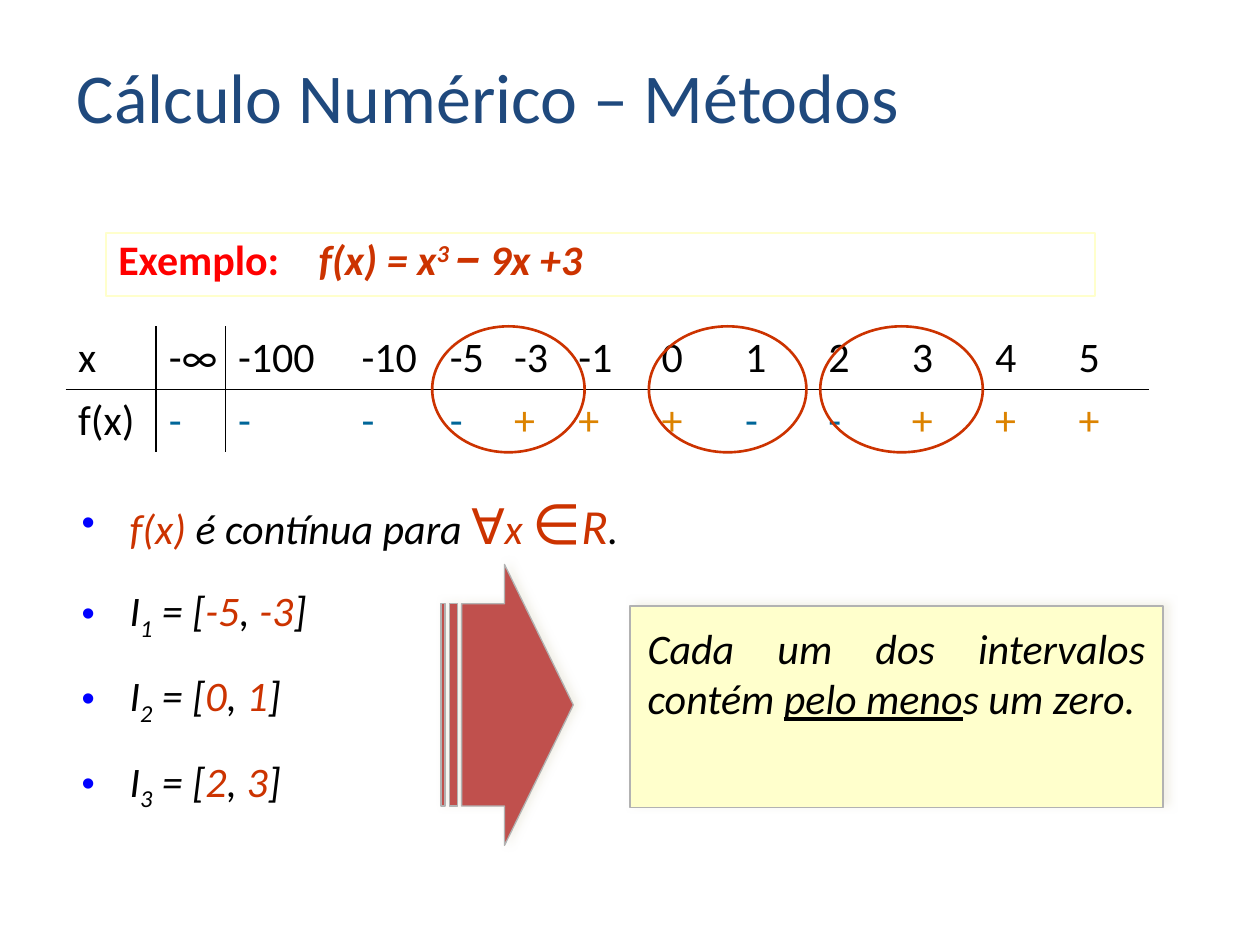
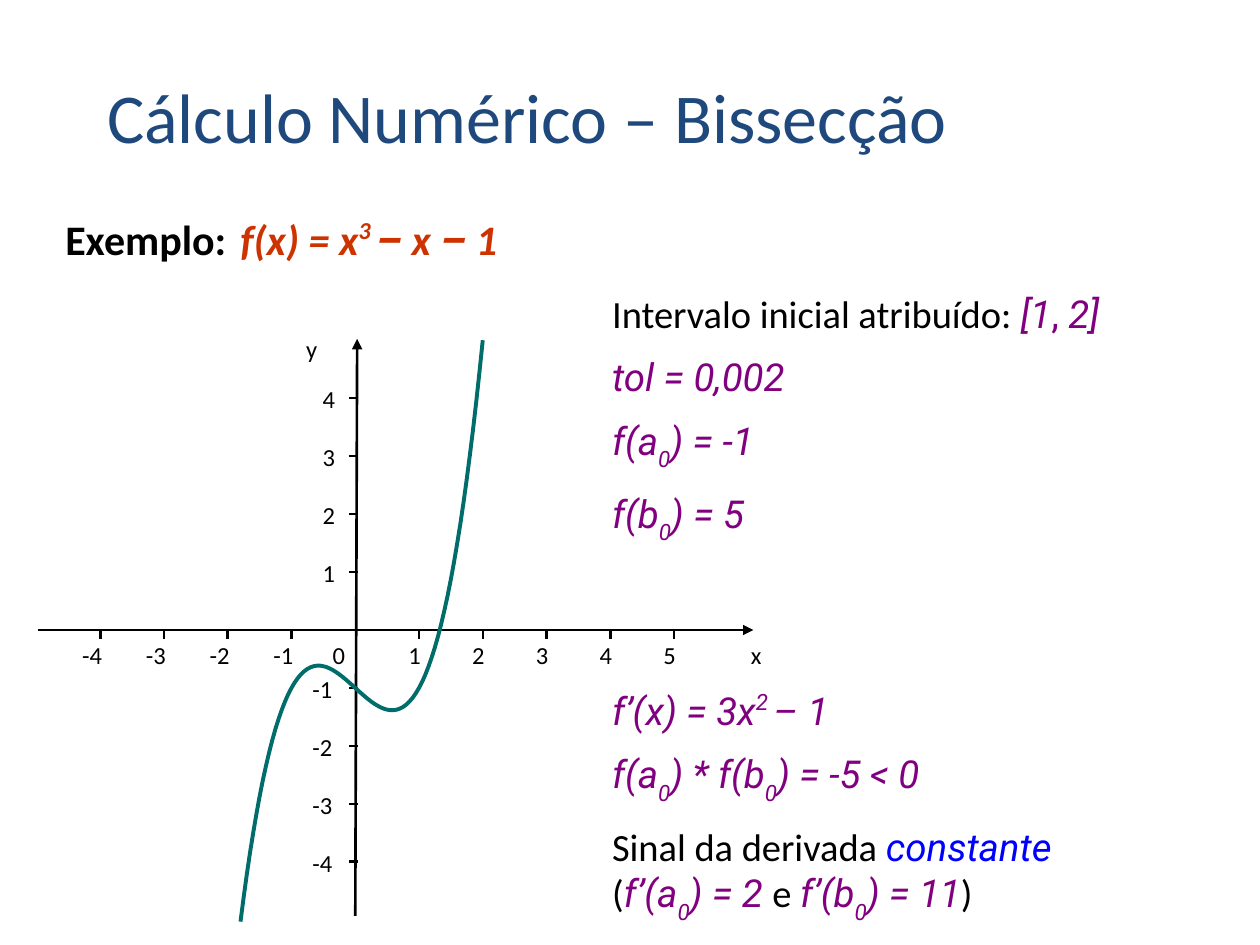
from collections import namedtuple

from lxml import etree
from pptx import Presentation
from pptx import util as u
from pptx.dml.color import RGBColor
from pptx.enum import shapes, text
from pptx.oxml import ns

COLUMNS, ROWS = 100, 75
CELL = u.Inches(10) // COLUMNS
COLORS = {
    "black": "000000", "title": "1F497D", "red": "FF0000", "accent": "CC3300",
    "plus": "DC8300", "minus": "006699", "bullet": "0000FF", "math": "800080",
    "cream": "FFFFCC", "edge": "B2B2B2", "arrow": "C0504D", "curve": "006D6A",
    "shadow": "EEECE1",
}
NO_STYLE = "{2D5ABB26-0587-4C30-8999-92F81FD0307C}"
ACCENT = {"color": "accent"}
BLACK = {"color": "black"}
SUB = {"shift": -25}
MATH = {"font": "Roboto", "color": "math", "italic": True}
LOW = {**MATH, "shift": -32}
HIGH = {**MATH, "shift": 38}


class Box(namedtuple("Box", "left top width height")):
    """A rectangle measured in grid columns and rows."""

    def inside(self, left, top, width, height):
        return Box(self.left + left, self.top + top, width, height)

    def lengths(self):
        return [grid(value) for value in self]


def grid(value):
    return u.Emu(round(value * CELL))


def rgb(name):
    return RGBColor.from_string(COLORS[name])


def add_xml(parent, tag, **attributes):
    child = etree.SubElement(parent, ns.qn(tag))
    for key, value in attributes.items():
        child.set(key, str(value))
    return child


def add_color(parent, name):
    return add_xml(add_xml(parent, "a:solidFill"), "a:srgbClr", val=COLORS[name])


def format_span(span, size=24, color="black", font="Calibri", bold=False,
                italic=False, underline=False, shift=0):
    """Format a run; shift raises or lowers it by a percentage."""
    span.font.size = u.Pt(size)
    span.font.name = font
    span.font.color.rgb = rgb(color)
    span.font.bold, span.font.italic, span.font.underline = bold, italic, underline
    if shift:
        span._r.get_or_add_rPr().set("baseline", str(shift * 1000))


def write(frame, lines, align=text.PP_ALIGN.LEFT, leading=None, gaps=None,
          hang=0, tab=None, bullet=False, **base):
    """Fill a frame with lines of spans, each a string or (string, format)."""
    for index, line in enumerate(lines):
        para = frame.add_paragraph() if index else frame.paragraphs[0]
        para.alignment = align
        if leading:
            para.line_spacing = leading
        if gaps:
            para.space_before = u.Pt(gaps[index])
        props = para._p.get_or_add_pPr()
        if hang:
            props.set("marL", str(grid(hang)))
            props.set("indent", str(-grid(hang)))
        if bullet:
            add_xml(add_xml(props, "a:buClr"), "a:srgbClr", val=COLORS["bullet"])
            add_xml(props, "a:buSzPct", val=90000)
            add_xml(props, "a:buFont", typeface="Arial")
            add_xml(props, "a:buChar", char="•")
        if tab:
            add_xml(add_xml(props, "a:tabLst"), "a:tab", pos=grid(tab), algn="l")
        for part in line:
            words, extra = (part, {}) if isinstance(part, str) else part
            span = para.add_run()
            span.text = words
            format_span(span, **{**base, **extra})


def set_frame(frame, inset=(1, 0.5), anchor=text.MSO_ANCHOR.TOP):
    frame.word_wrap = True
    frame.auto_size = text.MSO_AUTO_SIZE.NONE
    frame.vertical_anchor = anchor
    frame.margin_left = frame.margin_right = grid(inset[0])
    frame.margin_top = frame.margin_bottom = grid(inset[1])


def add_text(page, box, lines, inset=(1, 0.5), **style):
    holder = page.shapes.add_textbox(*box.lengths())
    set_frame(holder.text_frame, inset)
    write(holder.text_frame, lines, **style)
    return holder


def paint(shape, fill=None, line="black", weight=0.75):
    shape.shadow.inherit = False
    if fill:
        shape.fill.solid()
        shape.fill.fore_color.rgb = rgb(fill)
    else:
        shape.fill.background()
    shape.line.color.rgb = rgb(line)
    shape.line.width = u.Pt(weight)


def add_shadow(shape, distance, angle):
    effects = shape.element.spPr.find(ns.qn("a:effectLst"))
    outer = add_xml(effects, "a:outerShdw", blurRad=u.Pt(5), dist=u.Pt(distance),
                    dir=angle * 60000, algn="ctr", rotWithShape=0)
    add_xml(add_xml(outer, "a:srgbClr", val=COLORS["shadow"]), "a:alpha", val=75000)


def add_line(page, start, end, arrow=False):
    line = page.shapes.add_connector(shapes.MSO_CONNECTOR.STRAIGHT,
                                     *map(grid, (*start, *end)))
    line.line.color.rgb = rgb("black")
    line.line.width = u.Pt(1.5)
    if arrow:
        add_xml(line.line._get_or_add_ln(), "a:tailEnd", type="triangle")
    add_xml(line.element.spPr, "a:effectLst")


def add_page(deck, title, left, top):
    page = deck.slides.add_slide(deck.slide_layouts[5])
    holder = page.shapes.title
    holder.left, holder.top, holder.width, holder.height = (
        Box(left, top, 85.2, 7).lengths())
    set_frame(holder.text_frame, anchor=text.MSO_ANCHOR.BOTTOM)
    write(holder.text_frame, [[title]], size=40, color="title")
    return page


def draw_borders(cell, sides):
    props = cell._tc.get_or_add_tcPr()
    for side in sides:
        add_color(add_xml(props, "a:ln" + side, w=u.Pt(1)), "black")


def add_sign_table(page, box):
    """Table of signs, with rings round the columns where the sign changes."""
    values = "x -∞ -100 -10 -5 -3 -1 0 1 2 3 4 5".split()
    signs = "f(x) - - - - + + + - - + + +".split()
    widths = [7.2, 5.5, 9.8, 7, 5.1, 5.1] + [6.62] * 7
    frame = page.shapes.add_table(2, len(values), *box.lengths())
    table = frame.table
    table.first_row = table.horz_banding = False
    next(frame.element.iter(ns.qn("a:tableStyleId"))).text = NO_STYLE
    for column, width in zip(table.columns, widths):
        column.width = grid(width)
    for row, entries in enumerate((values, signs)):
        table.rows[row].height = grid(box.height / 2)
        for column, entry in enumerate(entries):
            cell = table.cell(row, column)
            cell.margin_left, cell.margin_top = grid(1), grid(0.5)
            cell.margin_right = cell.margin_bottom = 0
            side = {0: "R", 1: "L"}.get(column, "")
            draw_borders(cell, side + "BT"[row])
            cell.fill.background()
            color = {"+": "plus", "-": "minus"}.get(entry, "black")
            write(cell.text_frame, [[entry]], color=color)
    for left, width in ((29.1, 12.1), (46.3, 12.5), (59.9, 12.9)):
        ring = page.shapes.add_shape(shapes.MSO_SHAPE.OVAL,
                                     *box.inside(left, 0, width, box.height).lengths())
        paint(ring, line="accent", weight=1.5)


def add_intervals(page, box):
    """Bulleted facts, an arrow and the conclusion drawn from them."""
    bullets = {"align": text.PP_ALIGN.JUSTIFY, "hang": 3.8, "bullet": True, "italic": True}
    fact = [("f(x)", ACCENT), " é contínua para ", ("∀", {**ACCENT, "size": 28}),
            ("x ", ACCENT), ("∈", {**ACCENT, "size": 32, "italic": False}),
            ("R", {**ACCENT, "size": 28}), "."]
    add_text(page, box.inside(0, 0, 89.2, 8), [fact], leading=1.15, **bullets)
    ends = [("-5", "-3"), ("0", "1"), ("2", "3")]
    intervals = [["I", (str(number), SUB), " = [", (low, ACCENT), ",",
                  (" " + high, ACCENT), "]"]
                 for number, (low, high) in enumerate(ends, 1)]
    add_text(page, box.inside(0, 8.4, 26.8, 20.1), intervals, gaps=(0, 16, 16), **bullets)

    arrow = page.shapes.add_shape(shapes.MSO_SHAPE.STRIPED_RIGHT_ARROW,
                                  *box.inside(29.5, 7.3, 10.5, 22.3).lengths())
    arrow.adjustments[0], arrow.adjustments[1] = 0.72, 0.52
    paint(arrow, "arrow", "edge")
    add_shadow(arrow, 2.3, 335)

    card = page.shapes.add_shape(shapes.MSO_SHAPE.RECTANGLE,
                                 *box.inside(44.5, 10.6, 42.3, 16).lengths())
    paint(card, "cream", "edge")
    add_shadow(card, 3.6, 326)
    set_frame(card.text_frame, (1.4, 1.3))
    write(card.text_frame,
          [["Cada um dos intervalos contém ", ("pelo meno", {"underline": True}),
            "s um zero."]], align=text.PP_ALIGN.JUSTIFY, italic=True)


def add_example(page, box, label_color, formula, **style):
    lines = [[("Exemplo:\t", {"color": label_color, "italic": False}), *formula]]
    return add_text(page, box, lines, align=text.PP_ALIGN.JUSTIFY, tab=17.7,
                    bold=True, italic=True, color="accent", **style)


def add_plot(page, box):
    """Axes with ticks and the curve x³ − x − 1."""
    step_x, step_y = 5.06, 4.6
    origin_x, origin_y = box.left + 25.2, box.top + 23.5
    add_line(page, (origin_x, box.top + box.height),
             (origin_x + 0.15, box.top + 0.4), arrow=True)
    add_line(page, (box.left, origin_y), (box.left + 56.8, origin_y), arrow=True)

    def label(words, left, top):
        add_text(page, Box(left, top, 2.5, 2.1), [[words]], inset=(0, 0), size=14)

    label_top = origin_y + 0.8
    label("x", box.left + 56.6, label_top)
    label("y", box.left + 21.3, box.top)
    label("0", origin_x - 1.8, label_top)
    for number in range(-4, 6):
        if number:
            x = origin_x + number * step_x
            add_line(page, (x, origin_y), (x, origin_y + 0.7))
            label(str(number), x - (0.85 if number > 0 else 1.45), label_top)
        if number and number < 5:
            y = origin_y - number * step_y
            add_line(page, (origin_x - 0.5, y), (origin_x + 0.2, y))
            label(str(number), origin_x - (2.6 if number > 0 else 3.4), y - 1.1)

    inputs = [step / 20 for step in range(-36, 41)]
    points = [(grid(origin_x + x * step_x), grid(origin_y - (x**3 - x - 1) * step_y))
              for x in inputs]
    builder = page.shapes.build_freeform(*points[0], scale=1.0)
    builder.add_line_segments(points[1:], close=False)
    paint(builder.convert_to_shape(), line="curve", weight=2.25)


def add_calculation(page, box):
    lines = [
        [("Intervalo inicial atribuído: ", BLACK), ("[1", MATH),
         (", ", {**MATH, "italic": False}), ("2]", MATH)],
        [("tol = 0,002", MATH)],
        [("f(a", MATH), ("0", LOW), (") = -1", MATH)],
        [("f(b", MATH), ("0", LOW), (") = 5", MATH)],
        [("f’(x) = 3x", MATH), ("2 ", HIGH), ("– 1", MATH)],
        [("f(a", MATH), ("0", LOW), (") * f(b", MATH), ("0", LOW), (") = -5 < 0", MATH)],
        ["Sinal da derivada ", ("constante", {**MATH, "color": "bullet"})],
        ["(", ("f’(a", MATH), ("0", LOW), (") = 2 ", MATH), "e ",
         ("f’(b", MATH), ("0", LOW), (") = 11", MATH), ")"],
    ]
    add_text(page, box, lines, size=22, gaps=(0, 10, 10, 10, 81, 10, 10, 0))


def build_methods(deck):
    page = add_page(deck, "Cálculo Numérico – Métodos", 5.1, 4.4)
    formula = ["f(x) = x", ("3 ", {"shift": 30}), ("–", {"font": "Roboto"}), " 9x +3"]
    example = add_example(page, Box(8.4, 18.5, 78.5, 5), "red", formula,
                          hang=5.9, leading=0.9)
    example.line.color.rgb = rgb("cream")
    example.line.width = u.Pt(0.75)
    add_sign_table(page, Box(5.2, 25.9, 86, 10))
    add_intervals(page, Box(5.5, 37.5, 89.2, 29.6))


def build_bisection(deck):
    page = add_page(deck, "Cálculo Numérico – Bissecção", 7.5, 6)
    dash = ("–", {"font": "Roboto"})
    formula = ["f(x) = x", ("3 ", {"shift": 38}), dash, " x ", dash, " 1"]
    add_example(page, Box(4.2, 17.2, 91.6, 9.2), "black", formula, hang=3.9, leading=0.8)
    add_plot(page, Box(3, 26.5, 58.2, 46.2))
    add_calculation(page, Box(47.6, 22.5, 50, 48.3))


def main():
    deck = Presentation()
    deck.slide_width, deck.slide_height = grid(COLUMNS), grid(ROWS)
    build_methods(deck)
    build_bisection(deck)
    deck.save("out.pptx")


if __name__ == "__main__":
    main()
